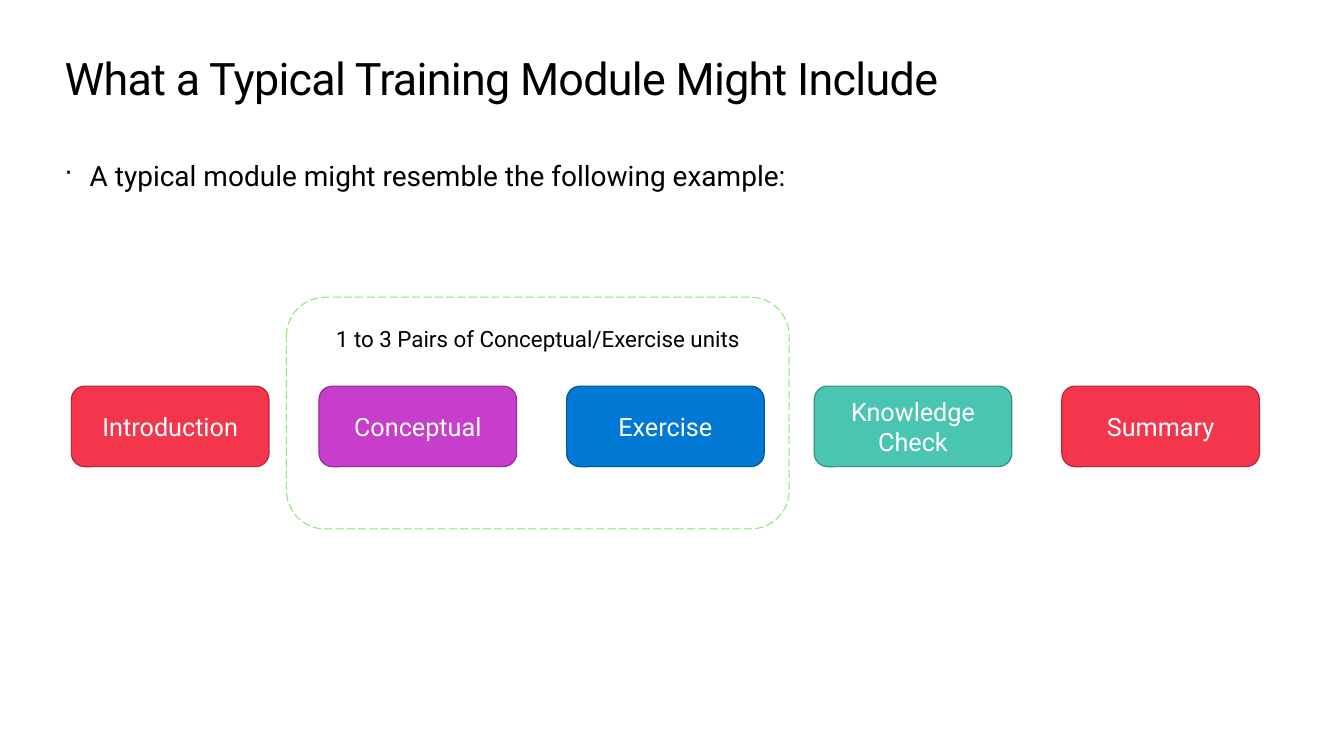
from dataclasses import dataclass
from typing import Optional

from lxml import etree
from pptx import Presentation
from pptx.dml.color import RGBColor
from pptx.enum.dml import MSO_LINE
from pptx.enum.shapes import MSO_SHAPE
from pptx.enum.text import MSO_ANCHOR, PP_ALIGN
from pptx.oxml.ns import qn
from pptx.util import Cm, Pt

ROUNDED = MSO_SHAPE.ROUNDED_RECTANGLE
LONG_DASH = MSO_LINE.LONG_DASH
MIDDLE, TOP = MSO_ANCHOR.MIDDLE, MSO_ANCHOR.TOP
CENTER = PP_ALIGN.CENTER

FONT = "Roboto"
BLACK = RGBColor(0x00, 0x00, 0x00)
WHITE = RGBColor(0xFF, 0xFF, 0xFF)
RED = RGBColor(0xF4, 0x36, 0x4C)
DARK_RED = RGBColor(0xB5, 0x28, 0x38)
PURPLE = RGBColor(0xC7, 0x3E, 0xCC)
DARK_PURPLE = RGBColor(0x93, 0x2E, 0x97)
BLUE = RGBColor(0x00, 0x78, 0xD4)
DARK_BLUE = RGBColor(0x00, 0x59, 0x9D)
TEAL = RGBColor(0x49, 0xC5, 0xB1)
DARK_TEAL = RGBColor(0x36, 0x92, 0x83)
GREEN = RGBColor(0x8D, 0xE9, 0x71)

# Row of units, in centimetres
UNIT_LEFT, UNIT_TOP = 1.8, 9.73
UNIT_WIDTH, UNIT_HEIGHT = 4.98, 2.03
UNIT_PITCH = 6.24


@dataclass
class Unit:
    label: str
    fill: RGBColor
    line: RGBColor


UNITS = [
    Unit("Introduction", RED, DARK_RED),
    Unit("Conceptual", PURPLE, DARK_PURPLE),
    Unit("Exercise", BLUE, DARK_BLUE),
    Unit("Knowledge\nCheck", TEAL, DARK_TEAL),
    Unit("Summary", RED, DARK_RED),
]


def style_paragraph(para, size: float, color: RGBColor) -> None:
    para.font.name = FONT
    para.font.size = Pt(size)
    para.font.color.rgb = color


def set_margins(frame, side: float, edge: float) -> None:
    frame.margin_left = frame.margin_right = Cm(side)
    frame.margin_top = frame.margin_bottom = Cm(edge)
    frame.word_wrap = True


def add_text(page, text: str, top: float, height: float):
    box = page.shapes.add_textbox(Cm(1.63), Cm(top), Cm(30.61), Cm(height))
    set_margins(box.text_frame, 0, 0)
    para = box.text_frame.paragraphs[0]
    para.text = text
    return para


def add_bullet(para) -> None:
    properties = para._p.get_or_add_pPr()
    properties.set("marL", str(Cm(0.63)))
    properties.set("indent", str(-Cm(0.63)))
    etree.SubElement(properties, qn("a:buSzPct")).set("val", "90000")
    etree.SubElement(properties, qn("a:buChar")).set("char", "·")


def add_rounded_box(page, left: float, top: float, width: float, height: float,
                    text: str, size: float, color: RGBColor, line: RGBColor,
                    line_width: float, fill: Optional[RGBColor] = None,
                    anchor: MSO_ANCHOR = MIDDLE):
    box = page.shapes.add_shape(ROUNDED, Cm(left), Cm(top), Cm(width), Cm(height))
    box.shadow.inherit = False
    if fill is None:
        box.fill.background()
    else:
        box.fill.solid()
        box.fill.fore_color.rgb = fill
    box.line.color.rgb = line
    box.line.width = Pt(line_width)
    set_margins(box.text_frame, 0.51, 0.41)
    box.text_frame.vertical_anchor = anchor
    para = box.text_frame.paragraphs[0]
    para.text = text
    para.alignment = CENTER
    style_paragraph(para, size, color)
    return box


def main() -> None:
    deck = Presentation()
    deck.slide_width, deck.slide_height = Cm(33.87), Cm(19.05)
    page = deck.slides.add_slide(deck.slide_layouts[6])

    # Title, slightly tightened
    title = add_text(page, "What a Typical Training Module Might Include", 1.27, 1.37)
    title.runs[0]._r.get_or_add_rPr().set("spc", "-50")
    style_paragraph(title, 32, BLACK)

    # Lead-in bullet
    lead = add_text(page, "A typical module might resemble the following example:", 3.99, 11.25)
    add_bullet(lead)
    style_paragraph(lead, 20, BLACK)

    # Units of the module
    for index, unit in enumerate(UNITS):
        add_rounded_box(page, UNIT_LEFT + index * UNIT_PITCH, UNIT_TOP, UNIT_WIDTH,
                        UNIT_HEIGHT, unit.label, 18, WHITE, unit.line, 0.85, unit.fill)

    # Dashed frame around the repeated pair
    pair = add_rounded_box(page, 7.22, 7.49, 12.67, 5.84,
                           "1 to 3 Pairs of Conceptual/Exercise units",
                           16, BLACK, GREEN, 0.75, anchor=TOP)
    pair.line.dash_style = LONG_DASH

    deck.save("out.pptx")


if __name__ == "__main__":
    main()
